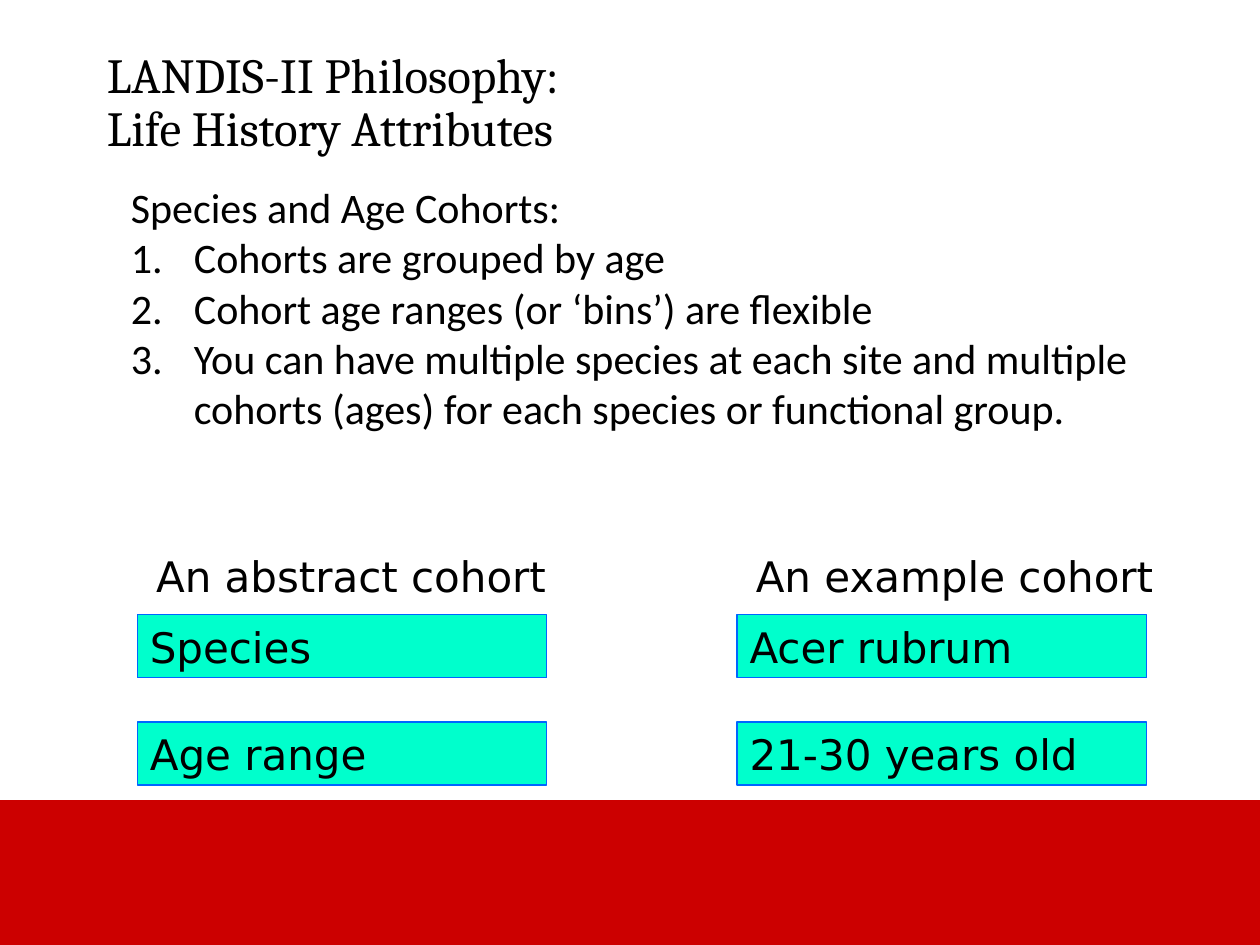
from typing import Any, NamedTuple

from pptx import Presentation
from pptx.dml.color import RGBColor
from pptx.enum.shapes import MSO_SHAPE
from pptx.enum.text import MSO_ANCHOR, PP_ALIGN
from pptx.oxml.ns import qn
from pptx.util import Inches, Pt

RED = RGBColor(0xCC, 0x00, 0x00)
MINT = RGBColor(0x00, 0xFF, 0xCC)
BLUE = RGBColor(0x00, 0x66, 0xFF)
BLACK = RGBColor(0x00, 0x00, 0x00)

TITLE_FONT = {"name": "Cambria", "size": Pt(28)}
BODY_FONT = {"name": "Calibri", "size": Pt(24)}
COHORT_FONT = {"name": "DejaVu Sans", "size": Pt(24)}


class Box(NamedTuple):
    left: float
    top: float
    width: float
    height: float


class Cohort(NamedTuple):
    left: float
    label: str
    label_width: float
    fields: tuple[str, ...]


COHORTS = (
    Cohort(1.09, "An abstract cohort", 3.3, ("Species", "Age range")),
    Cohort(5.85, "An example cohort", 3.36, ("Acer rubrum", "21-30 years old")),
)
FIELD_TOP, FIELD_STEP = 4.88, 0.85

HEADING = "Species and Age Cohorts:"
POINTS = (
    "Cohorts are grouped by age",
    "Cohort age ranges (or ‘bins’) are flexible",
    "You can have multiple species at each site and multiple "
    "cohorts (ages) for each species or functional group.",
)


def write(p: Any, text: str, font: dict[str, Any]) -> None:
    p.alignment = PP_ALIGN.LEFT
    p.text = text
    for r in p.runs:
        for name, value in font.items():
            setattr(r.font, name, value)
        r.font.color.rgb = BLACK


def add_text(shapes: Any, box: Box, wrap: bool = True) -> Any:
    tf = shapes.add_textbox(*map(Inches, box)).text_frame
    tf.word_wrap = wrap
    return tf


def add_rect(shapes: Any, box: Box, fill: RGBColor, line: RGBColor, weight: float) -> Any:
    sp = shapes.add_shape(MSO_SHAPE.RECTANGLE, *map(Inches, box))
    sp.shadow.inherit = False
    sp.fill.solid()
    sp.fill.fore_color.rgb = fill
    sp.line.color.rgb = line
    sp.line.width = Pt(weight)
    return sp


def add_title(shapes: Any) -> None:
    tf = add_text(shapes, Box(0.75, 0.2, 8.5, 1.25))
    tf.vertical_anchor = MSO_ANCHOR.MIDDLE
    p = tf.paragraphs[0]
    p.line_spacing = 0.9
    write(p, "LANDIS-II Philosophy:\vLife History Attributes", TITLE_FONT)


def add_points(shapes: Any) -> None:
    tf = add_text(shapes, Box(0.94, 1.39, 8.48, 2.12))
    write(tf.paragraphs[0], HEADING, BODY_FONT)
    for point in POINTS:
        p = tf.add_paragraph()
        pPr = p._p.get_or_add_pPr()
        pPr.set("marL", str(Inches(0.5)))
        pPr.set("indent", str(-Inches(0.5)))
        number = pPr.makeelement(qn("a:buAutoNum"), {"type": "arabicPeriod"})
        pPr.append(number)
        write(p, point, BODY_FONT)


def add_cohort(shapes: Any, cohort: Cohort) -> None:
    group = shapes.add_group_shape().shapes
    for i, field in enumerate(cohort.fields):
        box = Box(cohort.left, FIELD_TOP + i * FIELD_STEP, 3.25, 0.5)
        tf = add_rect(group, box, MINT, BLUE, 0.75).text_frame
        tf.vertical_anchor = MSO_ANCHOR.TOP
        tf.word_wrap = True
        write(tf.paragraphs[0], field, COHORT_FONT)
    label_box = Box(cohort.left + 0.05, 4.32, cohort.label_width, 0.5)
    tf = add_text(group, label_box, wrap=False)
    write(tf.paragraphs[0], cohort.label, COHORT_FONT)


def main() -> None:
    prs = Presentation()
    prs.slide_width, prs.slide_height = Inches(10), Inches(7.5)
    s = prs.slides.add_slide(prs.slide_layouts[6])
    add_rect(s.shapes, Box(0, 6.36, 10.02, 1.14), RED, RED, 1)
    add_title(s.shapes)
    add_points(s.shapes)
    for cohort in COHORTS:
        add_cohort(s.shapes, cohort)
    prs.save("out.pptx")


if __name__ == "__main__":
    main()
